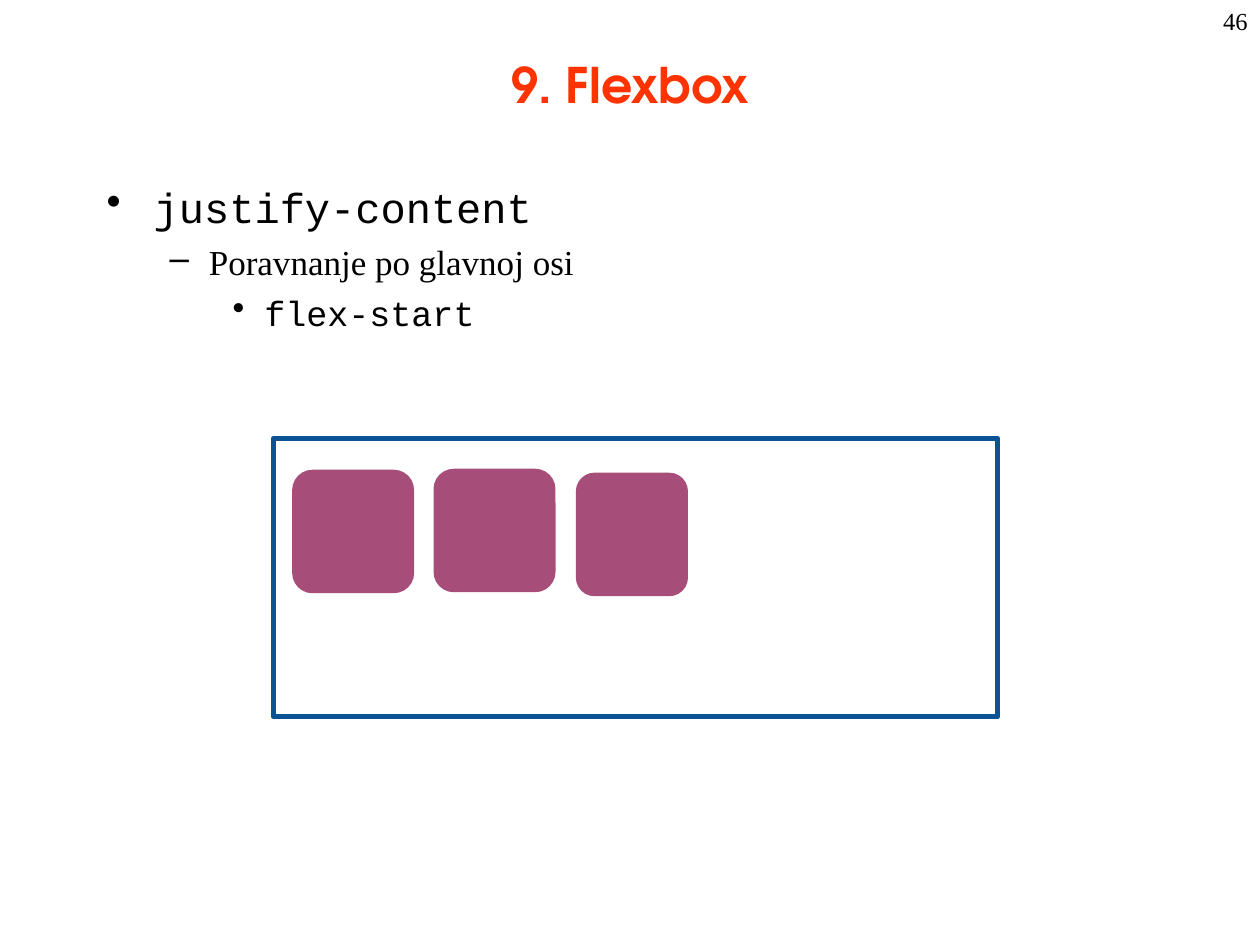
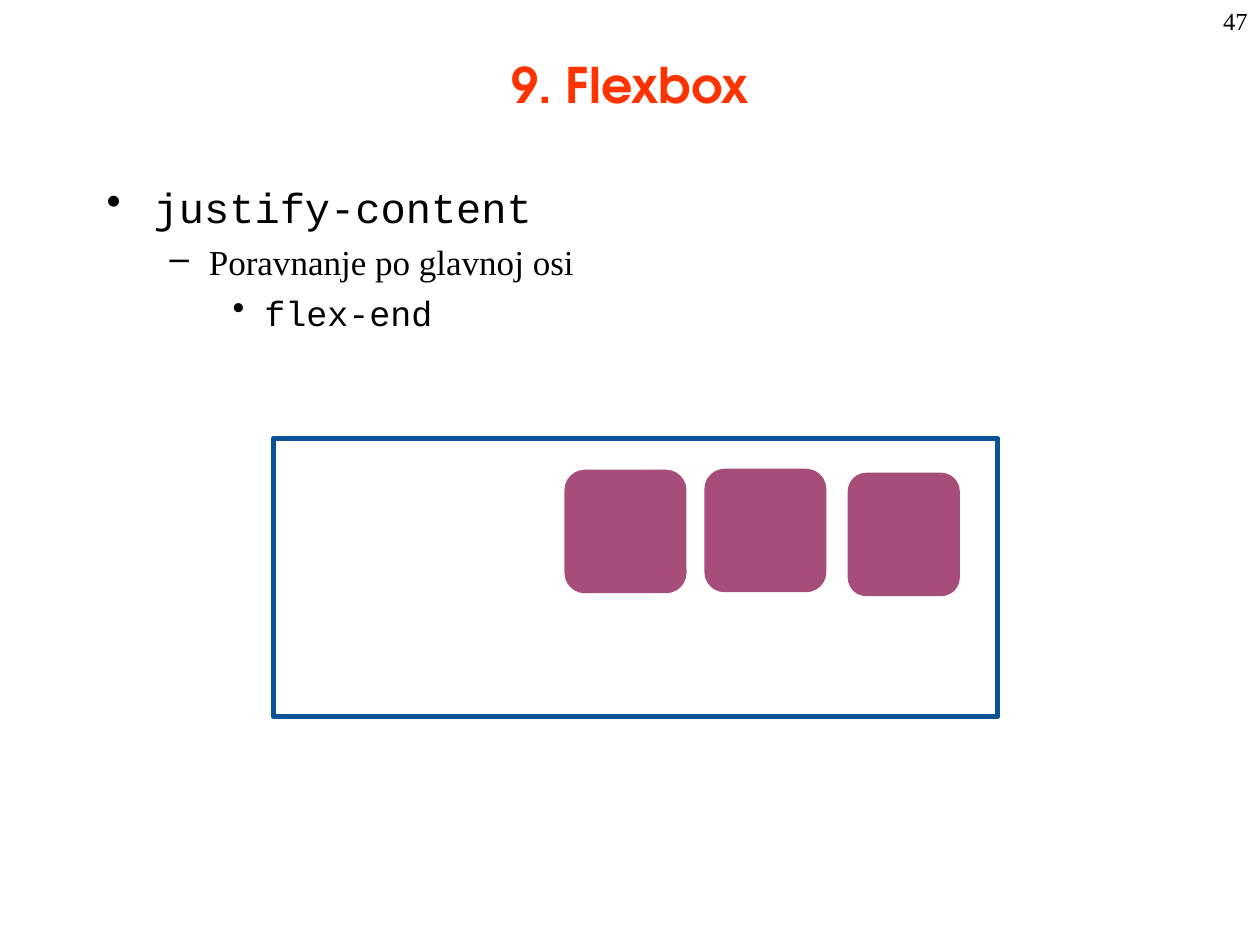
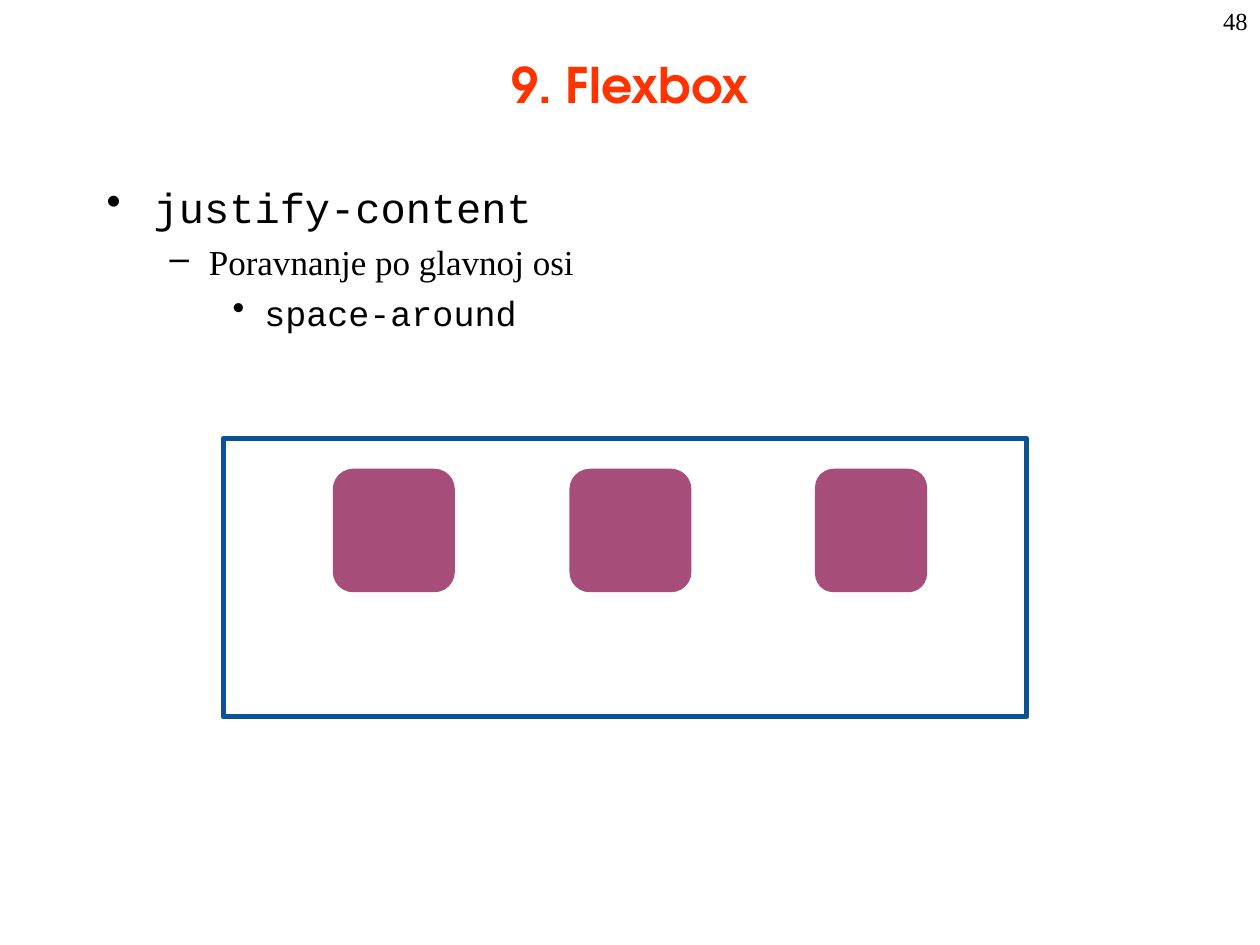
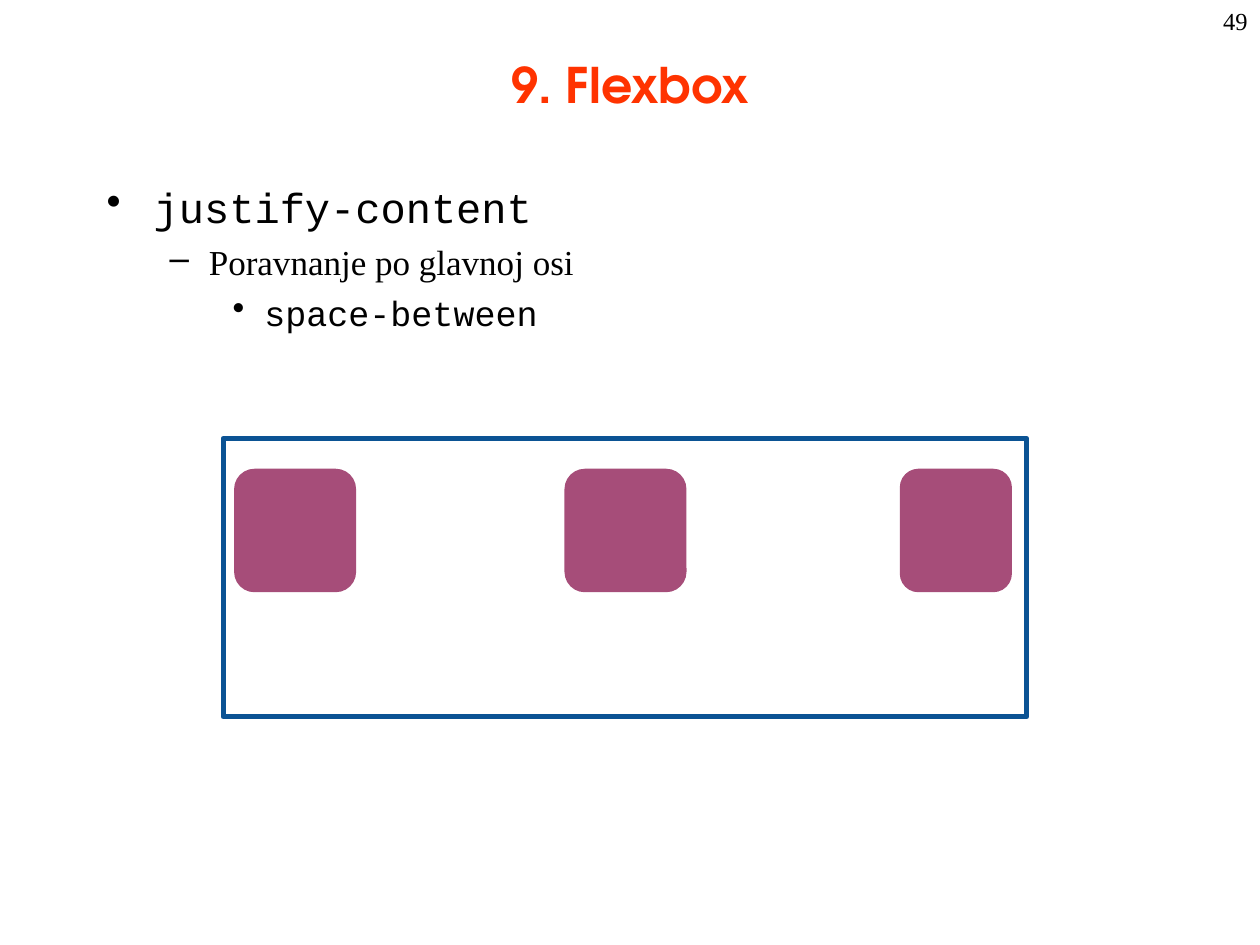
import pptx
import pptx.dml.color
import pptx.enum.shapes
import pptx.enum.text
import pptx.oxml.ns
import pptx.util
from lxml import etree

Cm, Pt = pptx.util.Cm, pptx.util.Pt
ALIGN = pptx.enum.text.PP_ALIGN
ANCHOR = pptx.enum.text.MSO_ANCHOR
SHAPE = pptx.enum.shapes.MSO_SHAPE

COLORS = {"title": "FF3300", "text": "000000", "paper": "FFFFFF",
          "frame": "0B5394", "item": "A64D79"}
MONO, SERIF, HEAD = "Courier New", "Times New Roman", "TeX Gyre Adventor"

TITLE = "9. Flexbox"
TOPIC = "justify-content"
NOTE = "Poravnanje po glavnoj osi"
FIRST = 46

# bullet, indent (cm), hang (cm), space before (pt), size (pt), font
LEVELS = [
    ("•", 0.95, 0.95, 0, 24, MONO),
    ("–", 2.06, 0.79, 5, 20, SERIF),
    ("•", 3.18, 0.64, 5, 20, MONO),
]

# Lengths in cm
NARROW, WIDE = (5.51, 14.6), (4.5, 16.2)  # frame left, width
EVEN, LOW = (9.45, 9.45, 9.45), (9.47, 9.45, 9.53)  # item tops
WIDTHS = (2.46, 2.46, 2.26)
HEIGHT = 2.49
SLIDES = [
    ("flex-start", NARROW, (5.89, 8.74, 11.61), LOW),
    ("flex-end", NARROW, (11.38, 14.2, 17.09), LOW),
    ("space-around", WIDE, (6.71, 11.48, 16.43), EVEN),
    ("space-between", WIDE, (4.72, 11.38, 18.14), EVEN),
]


def rgb(name):
    return pptx.dml.color.RGBColor.from_string(COLORS[name])


def write(para, text, size, face, color="text", bold=False):
    run = para.add_run()
    run.text = text
    font = run.font
    font.size, font.name, font.bold = Pt(size), face, bold
    font.color.rgb = rgb(color)


def bullet(para, mark, indent, hang):
    props = para._p.get_or_add_pPr()
    props.set("marL", str(Cm(indent)))
    props.set("indent", str(-Cm(hang)))
    qn = pptx.oxml.ns.qn
    tint = etree.SubElement(props, qn("a:buClr"))
    etree.SubElement(tint, qn("a:srgbClr"), val=COLORS["text"])
    etree.SubElement(props, qn("a:buChar"), char=mark)


def text_box(slide, left, top, width, height):
    box = slide.shapes.add_textbox(Cm(left), Cm(top), Cm(width), Cm(height))
    box.text_frame.word_wrap = True
    return box.text_frame


def add_head(slide, number):
    title = slide.shapes.title
    title.left, title.top = Cm(1.9), Cm(0.2)
    title.width, title.height = Cm(21.6), Cm(2.97)
    title.text_frame.vertical_anchor = ANCHOR.MIDDLE
    para = title.text_frame.paragraphs[0]
    para.alignment = ALIGN.CENTER
    write(para, TITLE, 28, HEAD, "title", True)

    para = text_box(slide, 20.12, 0, 5.28, 1.27).paragraphs[0]
    para.alignment = ALIGN.RIGHT
    write(para, str(number), 14, SERIF)


def add_list(slide, lines):
    frame = text_box(slide, 1.9, 3.38, 22, 6.15)
    frame.margin_top = Cm(0.28)
    for level, (line, style) in enumerate(zip(lines, LEVELS)):
        mark, indent, hang, space, size, face = style
        para = frame.add_paragraph() if level else frame.paragraphs[0]
        para.level = level
        para.space_before = Pt(space)
        bullet(para, mark, indent, hang)
        write(para, line, size, face)


def add_block(slide, kind, left, top, width, height, color):
    block = slide.shapes.add_shape(
        kind, Cm(left), Cm(top), Cm(width), Cm(height))
    block.shadow.inherit = False
    block.fill.solid()
    block.fill.fore_color.rgb = rgb(color)
    block.line.fill.background()
    return block


def add_demo(slide, span, lefts, tops):
    """Draw the flex container and its items."""
    left, width = span
    frame = add_block(slide, SHAPE.RECTANGLE, left, 8.84, width, 5.61, "paper")
    frame.line.color.rgb = rgb("frame")
    frame.line.width = Pt(3)
    for left, top, width in zip(lefts, tops, WIDTHS):
        add_block(slide, SHAPE.ROUNDED_RECTANGLE, left, top, width, HEIGHT,
                  "item")


def main():
    deck = pptx.Presentation()
    deck.slide_width, deck.slide_height = Cm(25.4), Cm(19.05)
    layout = deck.slide_layouts.get_by_name("Title Only")
    for number, (value, span, lefts, tops) in enumerate(SLIDES, FIRST):
        slide = deck.slides.add_slide(layout)
        add_head(slide, number)
        add_list(slide, (TOPIC, NOTE, value))
        add_demo(slide, span, lefts, tops)
    deck.save("out.pptx")


if __name__ == "__main__":
    main()
